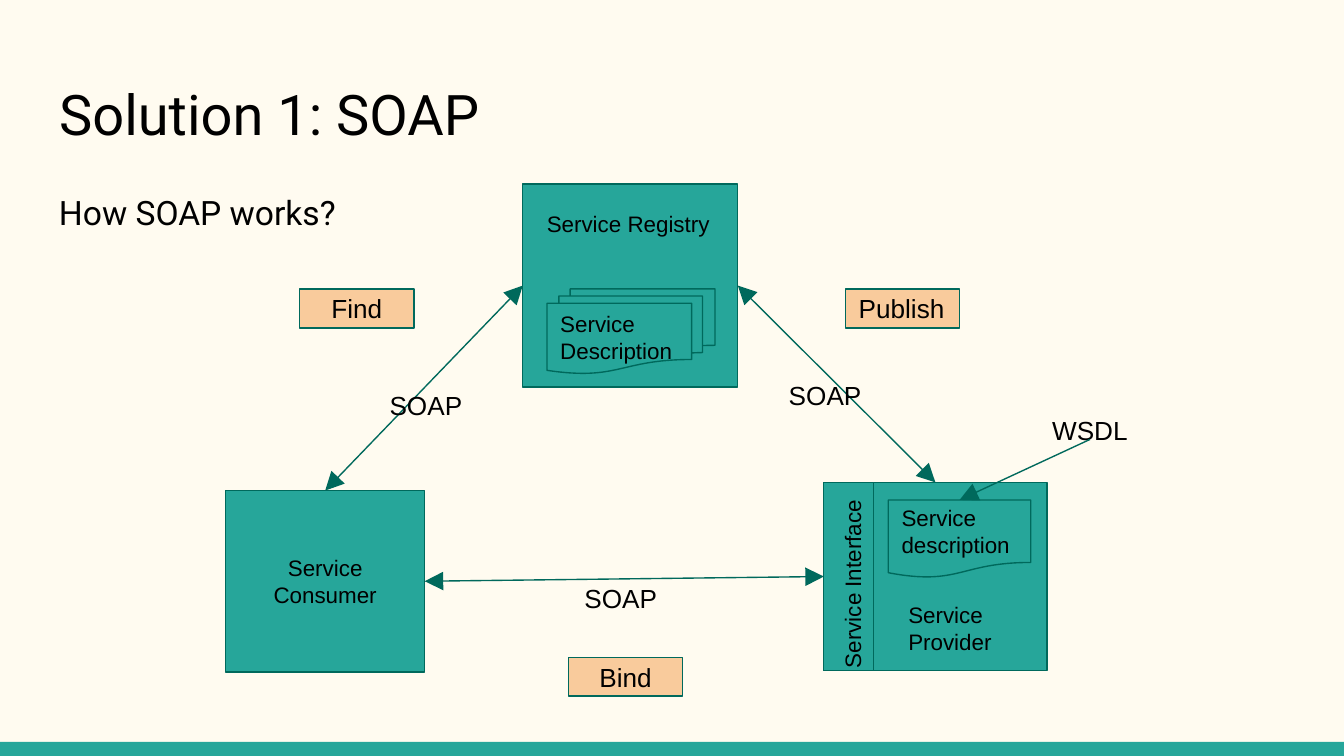
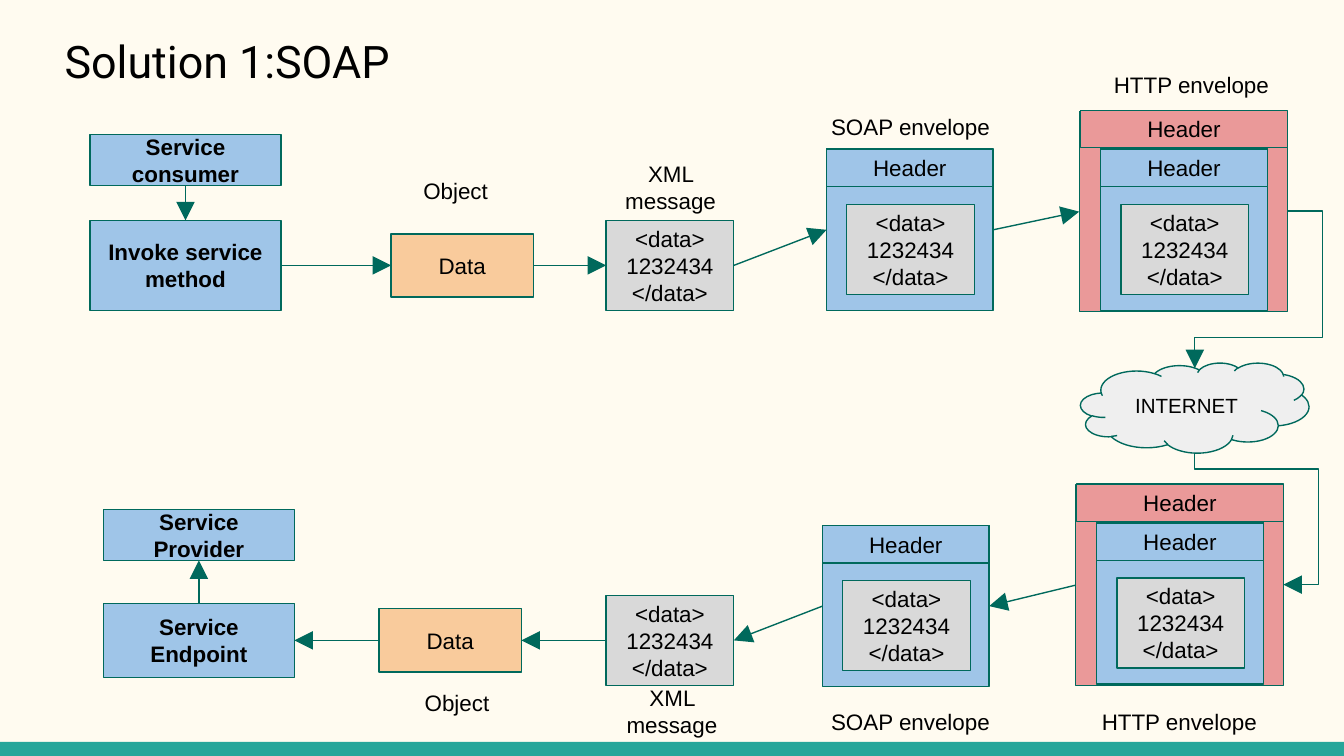
from lxml.etree import SubElement
from pptx import Presentation
from pptx.dml.color import RGBColor
from pptx.enum.shapes import MSO_CONNECTOR as LINE, MSO_SHAPE as SHAPE
from pptx.enum.text import MSO_ANCHOR as ANCHOR, MSO_AUTO_SIZE as FIT, PP_ALIGN as ALIGN
from pptx.oxml.ns import qn
from pptx.util import Inches, Pt

COLORS = {
    "page": "FFFBF0", "teal": "26A69A", "line": "00695C", "ink": "000000",
    "blue": "9FC5E8", "peach": "F9CB9C", "red": "EA9999", "gray": "D9D9D9",
    "cloud": "EFEFEF",
}
TITLE_FONT, FONT = "Roboto", "Arial"
TOP, LEFT, BOTTOM, RIGHT = range(4)

# Slide 1: left, top, width, height
SITES = {
    "registry": ("", (3.89, 1.37, 1.6, 1.51)),
    "provider": ("", (6.13, 3.59, 1.66, 1.4)),
    "consumer": ("Service Consumer", (1.68, 3.65, 1.48, 1.35)),
}
NAMES = [
    ("Service Registry", (3.97, 1.46, 1.44, 0.52)),
    ("Service Provider", (6.66, 4.37, 0.97, 0.52)),
]
STEPS = [
    ("Publish", (6.29, 2.15), ALIGN.LEFT),
    ("Find", (2.23, 2.15), ALIGN.CENTER),
    ("Bind", (4.23, 4.89), ALIGN.CENTER),
]
PATHS = [
    ("consumer", TOP, "registry", LEFT),
    ("provider", TOP, "registry", RIGHT),
    ("consumer", RIGHT, "provider", LEFT),
]
SOAP_AT = [(2.8, 2.8), (5.77, 2.72), (4.25, 4.23)]

# Slide 2
DATA = "<data>\n1232434\n</data>"
SEND = {
    "actor": ("Service consumer", (0.67, 1, 1.42, 0.38)),
    "call": ("Invoke service method", (0.67, 1.64, 1.42, 0.67)),
    "object": (2.91, 1.74), "xml": (4.51, 1.64),
    "soap": (6.15, 1.11), "http": (8.03, 0.83),
}
RECEIVE = {
    "actor": ("Service Provider", (0.77, 3.79, 1.42, 0.38)),
    "call": ("Service Endpoint", (0.77, 4.49, 1.42, 0.55)),
    "object": (2.82, 4.53), "xml": (4.51, 4.43),
    "soap": (6.12, 3.91), "http": (8, 3.61),
}
CHAIN = ["call", "object", "xml", "soap", "http"]
CAPTIONS = [
    ("Object", 0.92, [(2.93, 1.22), (2.94, 5.03)]),
    ("XML message", 0.92, [(4.53, 1.09), (4.54, 4.99)]),
    ("SOAP envelope", 1.55, [(6, 0.74), (6, 5.17)]),
    ("HTTP envelope", 1.65, [(8.04, 0.43), (7.95, 5.17)]),
]
# start, end, bends in percent, turn in degrees
BENDS = [
    ((9.58, 1.57), (8.89, 2.74), (-37.6, 80.3), 0),
    ((9.71, 3.53), (8.73, 4.19), (12.1, 139.6), 270),
]


def rgb(name):
    return RGBColor.from_string(COLORS[name])


def write(shape, text, size, align, anchor, font=FONT, bold=False):
    frame = shape.text_frame
    frame.text = text
    frame.word_wrap = True
    frame.auto_size = FIT.NONE
    frame.vertical_anchor = anchor
    frame.margin_left = frame.margin_right = Inches(0.1)
    frame.margin_top = frame.margin_bottom = Inches(0.1)
    for para in frame.paragraphs:
        para.alignment = align
        for run in para.runs:
            run.font.name, run.font.size = font, Pt(size)
            run.font.bold = bold
            run.font.color.rgb = rgb("ink")


def box(slide, at, fill, text="", size=12, align=ALIGN.CENTER,
        kind=SHAPE.RECTANGLE, bold=False):
    shape = slide.shapes.add_shape(kind, *map(Inches, at))
    shape.shadow.inherit = False
    shape.fill.solid()
    shape.fill.fore_color.rgb = rgb(fill)
    shape.line.color.rgb = rgb("line")
    shape.line.width = Pt(0.75)
    if text:
        write(shape, text, size, align, ANCHOR.MIDDLE, bold=bold)
    return shape


def label(slide, text, at, size=12, align=ALIGN.LEFT, font=FONT):
    shape = slide.shapes.add_textbox(*map(Inches, at))
    write(shape, text, size, align, ANCHOR.TOP, font)
    return shape


def dress(line, both=False):
    """Give a connector its colour, width and arrowheads."""
    line.line.color.rgb = rgb("line")
    line.line.width = Pt(0.75)
    props = line.element.spPr
    for end in ["headEnd", "tailEnd"] if both else ["tailEnd"]:
        SubElement(props.find(qn("a:ln")), qn("a:" + end),
                   type="triangle", w="lg", len="lg")
    SubElement(props, qn("a:effectLst"))


def join(slide, start, side, end, face, both=False):
    line = slide.shapes.add_connector(LINE.STRAIGHT, 0, 0, 0, 0)
    line.begin_connect(start, side)
    line.end_connect(end, face)
    dress(line, both)


def bend(slide, start, end, bends, turn):
    """Draw an elbow arrow with three corners."""
    line = slide.shapes.add_connector(LINE.ELBOW, *map(Inches, start + end))
    dress(line)
    props = line.element.spPr
    if turn:
        props.find(qn("a:xfrm")).set("rot", str(turn * 60000))
    geom = props.find(qn("a:prstGeom"))
    geom.set("prst", "bentConnector4")
    guides = geom.find(qn("a:avLst"))
    for i, part in enumerate(bends, 1):
        SubElement(guides, qn("a:gd"), name=f"adj{i}",
                   fmla=f"val {round(part * 1000)}")


def start_slide(deck, title, at, size):
    slide = deck.slides.add_slide(deck.slide_layouts[5])
    head = slide.shapes.title
    head.left, head.top, head.width, head.height = map(Inches, at)
    write(head, title, size, ALIGN.LEFT, ANCHOR.TOP, TITLE_FONT)
    return slide


def set_master(deck, slide):
    """Give the master its background and the band at the foot."""
    master = deck.slide_master
    master.background.fill.solid()
    master.background.fill.fore_color.rgb = rgb("page")
    band = box(slide, (0, 5.52, 10, 0.11), "teal")
    band.line.fill.background()
    band.element.nvSpPr.cNvPr.set("id", "99")
    master.shapes.element.append(band.element)


def draw_roles(slide):
    intro = label(slide, "How SOAP works?", (0.34, 1.28, 9.32, 3.72), 18,
                  font=TITLE_FONT)
    para = intro.text_frame.paragraphs[0]
    para.line_spacing, para.space_after = 1.15, Pt(16)

    sites = {key: box(slide, at, "teal", text)
             for key, (text, at) in SITES.items()}
    box(slide, (4.07, 2.15, 1.25, 0.63), "teal", "Service Description",
        align=ALIGN.LEFT, kind=SHAPE.FLOWCHART_MULTIDOCUMENT)
    box(slide, (6.13, 3.59, 0.37, 1.4), "teal")
    paper = box(slide, (6.61, 3.72, 1.06, 0.58), "teal", "Service description",
                align=ALIGN.LEFT, kind=SHAPE.FLOWCHART_DOCUMENT)
    for text, at in NAMES:
        label(slide, text, at)
    label(slide, "Service Interface", (5.54, 4.12, 1.55, 0.35)).rotation = 270

    for start, side, end, face in PATHS:
        join(slide, sites[start], side, sites[end], face, both=True)
    for at in SOAP_AT:
        label(slide, "SOAP", (*at, 0.81, 0.33), 14)
    wsdl = label(slide, "WSDL", (7.58, 2.98, 1.06, 0.29), 14, ALIGN.CENTER)
    join(slide, wsdl, BOTTOM, paper, TOP)
    for text, at, align in STEPS:
        box(slide, (*at, 0.85, 0.29), "peach", text, 14, align)


def add_data(slide, x, y):
    return box(slide, (x, y, 0.95, 0.67), "gray", DATA)


def add_soap(slide, x, y):
    shell = box(slide, (x, y, 1.24, 1.2), "blue")
    add_data(slide, x + 0.15, y + 0.41)
    box(slide, (x, y, 1.24, 0.28), "blue", "Header")
    return shell


def add_http(slide, x, y):
    shell = box(slide, (x, y, 1.55, 1.49), "red")
    box(slide, (x + 0.01, y - 0.01, 1.54, 0.28), "red", "Header")
    add_soap(slide, x + 0.16, y + 0.28)
    return shell


def add_row(slide, row):
    parts = {}
    for key in ["actor", "call"]:
        text, at = row[key]
        parts[key] = box(slide, at, "blue", text, bold=True)
    parts["object"] = box(slide, (*row["object"], 1.06, 0.47), "peach", "Data")
    parts["xml"] = add_data(slide, *row["xml"])
    parts["soap"] = add_soap(slide, *row["soap"])
    parts["http"] = add_http(slide, *row["http"])
    return parts


def draw_flow(slide):
    send, receive = add_row(slide, SEND), add_row(slide, RECEIVE)
    join(slide, send["actor"], BOTTOM, send["call"], TOP)
    for near, far in zip(CHAIN, CHAIN[1:]):
        join(slide, send[near], RIGHT, send[far], LEFT)
        join(slide, receive[far], LEFT, receive[near], RIGHT)
    join(slide, receive["call"], TOP, receive["actor"], BOTTOM)

    box(slide, (8.04, 2.7, 1.7, 0.67), "cloud", "INTERNET", 11,
        kind=SHAPE.CLOUD)
    for route in BENDS:
        bend(slide, *route)
    for text, width, spots in CAPTIONS:
        for at in spots:
            label(slide, text, (*at, width, 0.28), align=ALIGN.CENTER)


def main():
    deck = Presentation()
    deck.slide_width, deck.slide_height = Inches(10), Inches(10 * 9 / 16)
    roles = start_slide(deck, "Solution 1: SOAP", (0.34, 0.49, 9.32, 0.67), 30)
    set_master(deck, roles)
    draw_roles(roles)
    flow = start_slide(deck, "Solution 1:SOAP", (0.38, 0.15, 9.32, 0.67), 24)
    draw_flow(flow)
    deck.save("out.pptx")


if __name__ == "__main__":
    main()
